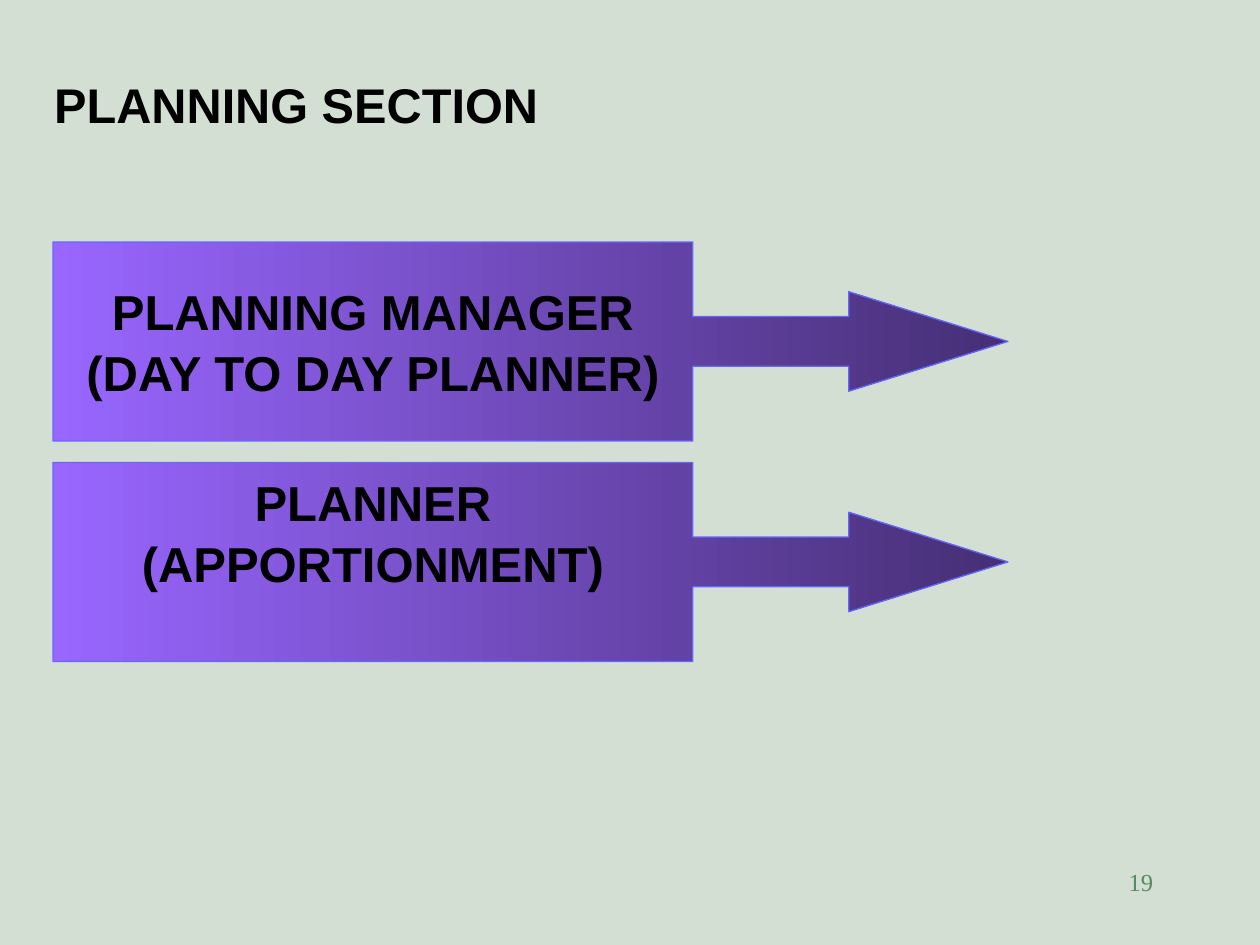
"""Build the planning section slide with two arrow callouts."""
import pptx
import pptx.dml.color
import pptx.enum.shapes
import pptx.enum.text
import pptx.util

Inches, Pt = pptx.util.Inches, pptx.util.Pt
RGB = pptx.dml.color.RGBColor
ALIGN = pptx.enum.text.PP_ALIGN
ANCHOR = pptx.enum.text.MSO_ANCHOR

SAGE = RGB(0xD3, 0xDF, 0xD3)
BLACK = RGB(0, 0, 0)
GREEN = RGB(0x57, 0x89, 0x63)
DARK = RGB(0x46, 0x2F, 0x75)
VIOLET = RGB(0x99, 0x66, 0xFF)
BLUE = RGB(0x66, 0x66, 0xFF)

TITLE = "PLANNING SECTION"
ROLES = [
    (["PLANNING MANAGER", "(DAY TO DAY PLANNER)"], 0.05),
    (["PLANNER", "(APPORTIONMENT)"], 0.52),
]
NUMBER = "19"
LEFT, TOP, WIDTH, HEIGHT, STEP = 0.42, 1.92, 7.58, 1.58, 1.75
ADJUST = [0.25, 0.25, 0.8, 0.67]


def write(frame, lines, size=28, font="Arial", color=BLACK, bold=True,
          align=ALIGN.LEFT, anchor=ANCHOR.MIDDLE, wrap=True, bottom=0.05,
          gap=0, spacing=1.0, raised=False):
    """Fill a text frame with formatted lines."""
    frame.auto_size = pptx.enum.text.MSO_AUTO_SIZE.NONE
    frame.word_wrap = wrap
    frame.vertical_anchor = anchor
    frame.margin_left = frame.margin_right = Inches(0.1)
    frame.margin_top, frame.margin_bottom = Inches(0.05), Inches(bottom)
    for i, line in enumerate(lines):
        para = frame.paragraphs[0] if i == 0 else frame.add_paragraph()
        para.alignment = align
        para.line_spacing = spacing
        para.space_before = Pt(gap if i else 0)
        run = para.add_run()
        run.text = line
        run.font.size, run.font.name = Pt(size), font
        run.font.bold, run.font.color.rgb = bold, color
        if raised:
            run._r.get_or_add_rPr().set("baseline", "30000")


def callout(slide, top, lines, bottom):
    """Draw one gradient arrow callout with its role."""
    kind = pptx.enum.shapes.MSO_SHAPE.RIGHT_ARROW_CALLOUT
    shape = slide.shapes.add_shape(
        kind, Inches(LEFT), Inches(top), Inches(WIDTH), Inches(HEIGHT))
    shape.shadow.inherit = False
    for i, value in enumerate(ADJUST):
        shape.adjustments[i] = value
    shape.fill.gradient()
    shape.fill.gradient_angle = 180
    for stop, color in zip(shape.fill.gradient_stops, (DARK, VIOLET)):
        stop.color.rgb = color
    shape.line.color.rgb = BLUE
    shape.line.width = Pt(0.75)
    write(shape.text_frame, lines, align=ALIGN.CENTER, wrap=False,
          bottom=bottom, gap=1.5)


def main():
    """Build and save the slide."""
    deck = pptx.Presentation()
    deck.slide_width, deck.slide_height = Inches(10), Inches(7.5)
    slide = deck.slides.add_slide(deck.slide_layouts[5])
    slide.background.fill.solid()
    slide.background.fill.fore_color.rgb = SAGE

    title = slide.shapes.title
    title.left, title.top = Inches(0.33), Inches(0.42)
    title.width, title.height = Inches(8.5), Inches(0.75)
    write(title.text_frame, [TITLE], size=48, spacing=1.3, raised=True)

    for i, (lines, bottom) in enumerate(ROLES):
        callout(slide, TOP + i * STEP, lines, bottom)

    page = slide.shapes.add_textbox(
        Inches(7.17), Inches(6.83), Inches(2.08), Inches(0.5))
    write(page.text_frame, [NUMBER], size=14, font="Times New Roman",
          color=GREEN, bold=False, align=ALIGN.RIGHT, anchor=ANCHOR.TOP)
    deck.save("out.pptx")


if __name__ == "__main__":
    main()
